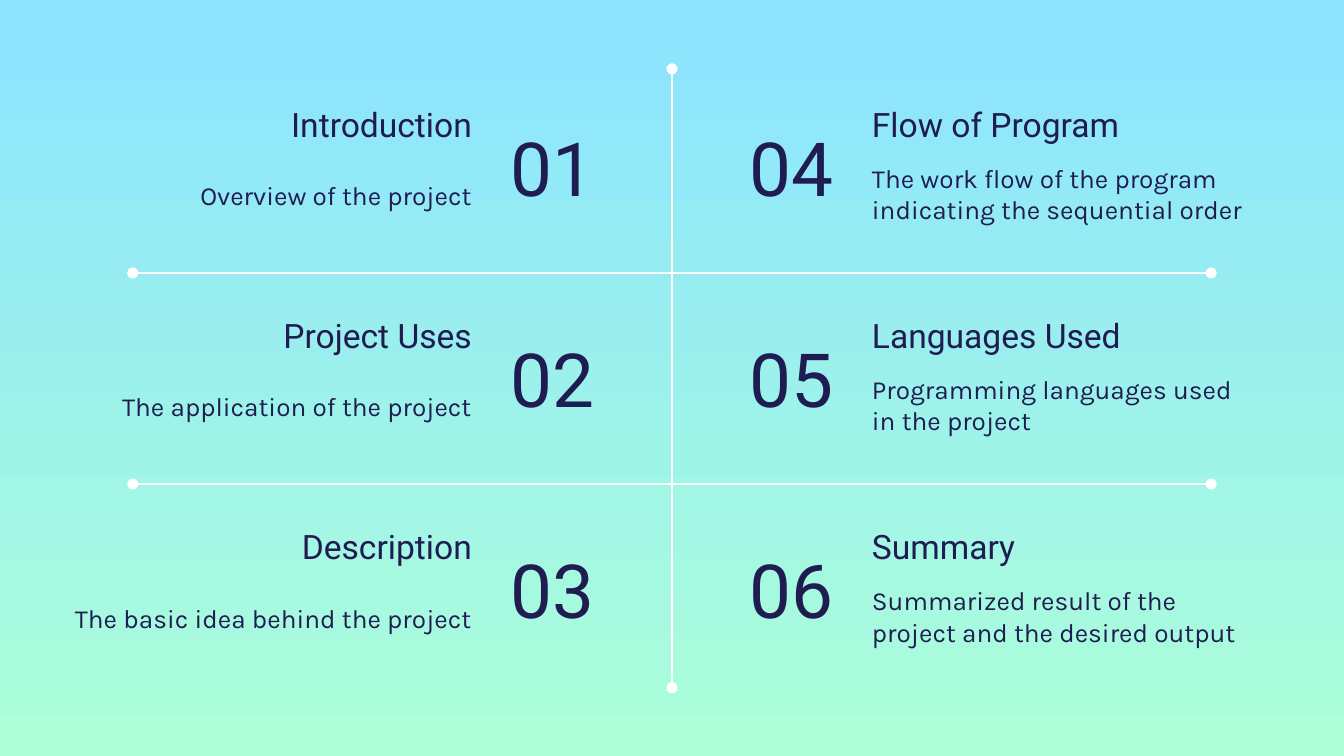
from dataclasses import dataclass
from typing import Any, Optional

import pptx
import pptx.dml.color
import pptx.enum.shapes
import pptx.enum.text
import pptx.oxml
import pptx.oxml.ns
import pptx.util

Cm = pptx.util.Cm
Pt = pptx.util.Pt
RGB = pptx.dml.color.RGBColor.from_string
Align = pptx.enum.text.PP_ALIGN
Anchor = pptx.enum.text.MSO_ANCHOR


@dataclass(frozen=True)
class Theme:
    ink: str = "1F1C51"
    rule: str = "FFFFFF"
    sky: str = "8BE3FF"
    mint: str = "ACFFD9"
    display_font: str = "Roboto"
    body_font: str = "Karla"
    number_size: float = 40
    heading_size: float = 18
    detail_size: float = 14
    rule_width: float = 1.5


@dataclass(frozen=True)
class Box:
    left: float
    top: float
    width: float
    height: float


@dataclass(frozen=True)
class TextStyle:
    font: str
    size: float
    align: Any
    anchor: Any


@dataclass(frozen=True)
class Section:
    heading: str
    detail: str
    extra_width: float = 0


THEME = Theme()
SLIDE_WIDTH, SLIDE_HEIGHT = 25.4, 14.29
CENTRE = SLIDE_WIDTH / 2
ROW_PITCH = 3.99
HEADING_TOP, NUMBER_TOP, DETAIL_TOP = 1.7, 2.06, 2.82
HEADING_HEIGHT, NUMBER_HEIGHT, DETAIL_HEIGHT = 1.27, 2.18, 1.75
TEXT_MARGIN, TEXT_WIDTH, NUMBER_WIDTH = 1.6, 7.57, 3.3
INSET = 0.25
DIVIDER_TOP, DIVIDER_MARGIN = 5.16, 2.51
AXIS_TOP, AXIS_BOTTOM = 1.3, 13.0

LEFT_SECTIONS = [
    Section("Introduction", "Overview of the project"),
    Section("Project Uses", "The application of the project"),
    Section("Description", "The basic idea behind the project", extra_width=0.86),
]
RIGHT_SECTIONS = [
    Section("Flow of Program", "The work flow of the program indicating the sequential order"),
    Section("Languages Used", "Programming languages used in the project"),
    Section("Summary", "Summarized result of the project and the desired output"),
]


def apply_format(target: Any, values: dict[str, Any]) -> None:
    for name, value in values.items():
        setattr(target, name, value)


def paint_background(slide: Any) -> None:
    fill = slide.background.fill
    fill.gradient()
    fill.gradient_angle = 270
    for stop, colour, position in zip(fill.gradient_stops, (THEME.sky, THEME.mint), (0, 1)):
        stop.color.rgb = RGB(colour)
        stop.position = position


def write_text(slide: Any, text: str, box: Box, style: TextStyle,
               placeholder: Optional[Any] = None) -> None:
    """Fill the given placeholder, or a new text box when there is none."""
    bounds = {name: Cm(getattr(box, name)) for name in ("left", "top", "width", "height")}
    holder = placeholder or slide.shapes.add_textbox(**bounds)
    apply_format(holder, bounds)
    frame = holder.text_frame
    apply_format(frame, {
        "word_wrap": True,
        "auto_size": pptx.enum.text.MSO_AUTO_SIZE.NONE,
        "vertical_anchor": style.anchor,
        "margin_left": Cm(INSET),
        "margin_right": Cm(INSET),
        "margin_top": Cm(INSET),
        "margin_bottom": Cm(INSET),
    })
    paragraph = frame.paragraphs[0]
    apply_format(paragraph, {"text": text, "alignment": style.align, "space_before": Pt(0)})
    apply_format(paragraph.runs[0].font, {"name": style.font, "size": Pt(style.size)})
    paragraph.runs[0].font.color.rgb = RGB(THEME.ink)


def draw_rule(slide: Any, x1: float, y1: float, x2: float, y2: float) -> None:
    """Draw a straight line with a dot at each end."""
    rule = slide.shapes.add_connector(
        pptx.enum.shapes.MSO_CONNECTOR.STRAIGHT, Cm(x1), Cm(y1), Cm(x2), Cm(y2))
    rule.line.color.rgb = RGB(THEME.rule)
    rule.line.width = Pt(THEME.rule_width)
    outline = rule.line._get_or_add_ln()
    for end in ("a:headEnd", "a:tailEnd"):
        outline.append(pptx.oxml.parse_xml(
            f'<{end} {pptx.oxml.ns.nsdecls("a")} type="oval" w="med" len="med"/>'))
    rule._element.spPr.append(
        pptx.oxml.parse_xml(f'<a:effectLst {pptx.oxml.ns.nsdecls("a")}/>'))


def draw_section(slide: Any, section: Section, number: int, row: int, on_left: bool,
                 title: Optional[Any] = None, subtitle: Optional[Any] = None) -> None:
    shift = row * ROW_PITCH
    text_align, number_align = (Align.RIGHT, Align.LEFT) if on_left else (Align.LEFT, Align.RIGHT)
    text_left = TEXT_MARGIN if on_left else SLIDE_WIDTH - TEXT_MARGIN - TEXT_WIDTH
    number_left = CENTRE - NUMBER_WIDTH if on_left else CENTRE
    detail_anchor = Anchor.MIDDLE if on_left else Anchor.TOP

    write_text(slide, section.heading,
               Box(text_left, HEADING_TOP + shift, TEXT_WIDTH, HEADING_HEIGHT),
               TextStyle(THEME.display_font, THEME.heading_size, text_align, Anchor.BOTTOM),
               title)
    write_text(slide, section.detail,
               Box(text_left - section.extra_width, DETAIL_TOP + shift,
                   TEXT_WIDTH + section.extra_width, DETAIL_HEIGHT),
               TextStyle(THEME.body_font, THEME.detail_size, text_align, detail_anchor),
               subtitle)
    write_text(slide, f"{number:02d}",
               Box(number_left, NUMBER_TOP + shift, NUMBER_WIDTH, NUMBER_HEIGHT),
               TextStyle(THEME.display_font, THEME.number_size, number_align, Anchor.MIDDLE))


def main() -> None:
    deck = pptx.Presentation()
    deck.slide_width, deck.slide_height = Cm(SLIDE_WIDTH), Cm(SLIDE_HEIGHT)
    slide = deck.slides.add_slide(deck.slide_layouts[0])
    paint_background(slide)

    draw_rule(slide, CENTRE, AXIS_TOP, CENTRE, AXIS_BOTTOM)
    for row in range(len(LEFT_SECTIONS) - 1):
        top = DIVIDER_TOP + row * ROW_PITCH
        draw_rule(slide, DIVIDER_MARGIN, top, SLIDE_WIDTH - DIVIDER_MARGIN, top)

    title, subtitle = slide.placeholders
    for index, section in enumerate(LEFT_SECTIONS + RIGHT_SECTIONS):
        column, row = divmod(index, len(LEFT_SECTIONS))
        opening = (title, subtitle) if index == 0 else ()
        draw_section(slide, section, index + 1, row, column == 0, *opening)

    deck.save("out.pptx")


if __name__ == "__main__":
    main()
